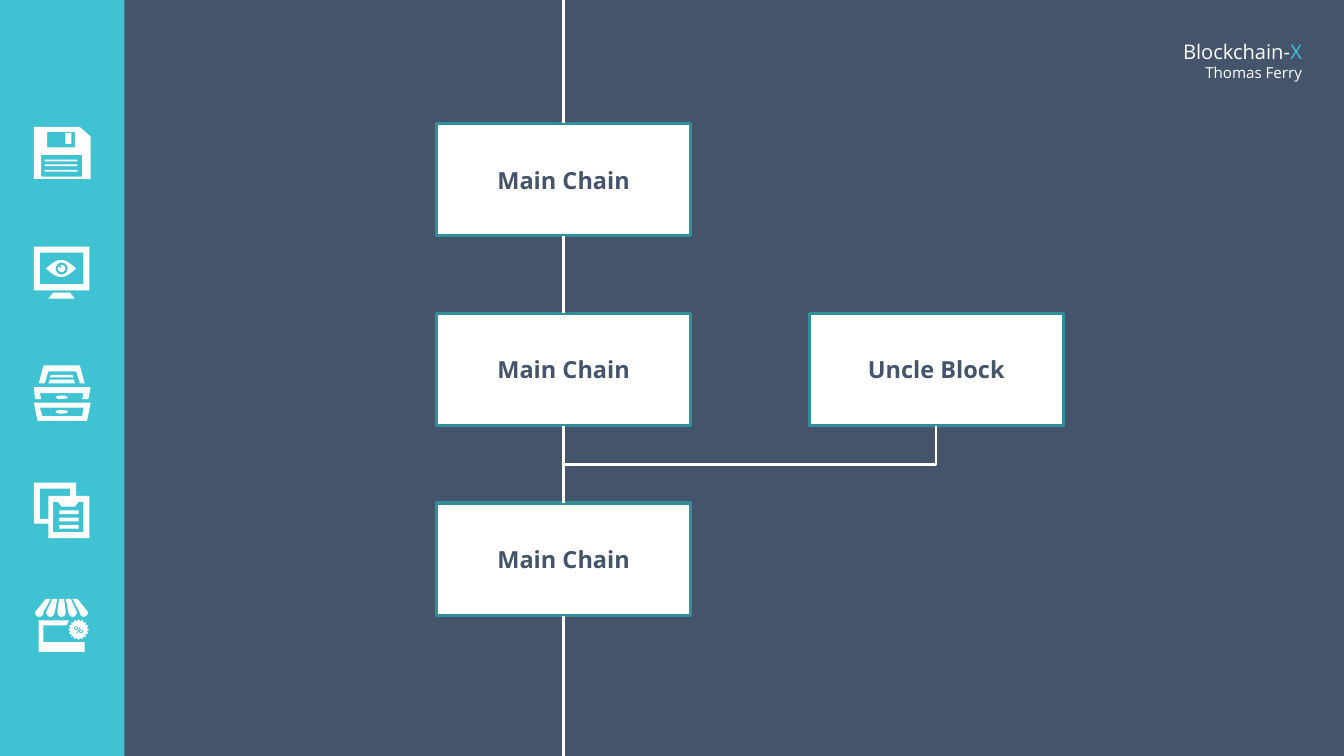
from math import cos, pi, sin

from lxml.etree import SubElement
from pptx import Presentation
from pptx.dml.color import RGBColor
from pptx.enum.shapes import MSO_CONNECTOR as LINK, MSO_SHAPE as SHAPE
from pptx.enum.text import MSO_ANCHOR as ANCHOR, PP_ALIGN as ALIGN
from pptx.oxml.ns import qn
from pptx.util import Inches, Pt

SLATE = RGBColor(0x44, 0x54, 0x6A)
TURQUOISE = RGBColor(0x3F, 0xC3, 0xD2)
TEAL = RGBColor(0x2F, 0x90, 0x9B)
WHITE = RGBColor(0xFF, 0xFF, 0xFF)
FONT = "Open Sans"
SLIDE_W, SLIDE_H = 11.11, 6.25
BLOCK_W, BLOCK_H = 2.1, 0.93
TOP, BOTTOM = 0, 2


def style_run(run, size, color, bold=False):
    run.font.name = FONT
    run.font.size = Pt(size)
    run.font.color.rgb = color
    run.font.bold = bold


def bar(left, top, right, bottom):
    return [(left, top), (right, top), (right, bottom), (left, bottom)]


def oval(x, y, rx, ry, steps=24):
    angles = [2 * pi * i / steps for i in range(steps)]
    return [(x + rx * cos(a), y + ry * sin(a)) for a in angles]


def floppy_disk():
    case = [(0, 0), (38, 0), (47, 8), (47, 43), (0, 43)]
    lines = [bar(9, y, 36, y + 1.5) for y in (27, 31, 35.5)]
    return [case, bar(6, 23, 40, 41), bar(11, 4, 34, 17), bar(26, 5, 31, 14), *lines]


def monitor():
    stand = [(16, 38), (30, 38), (34, 43), (12, 43)]
    lid = [(10 + 25 * i / 12, 7 * sin(pi * i / 12)) for i in range(13)]
    eye = [(x, 18 - y) for x, y in lid] + [(x, 18 + y) for x, y in lid[-2:0:-1]]
    return [bar(0, 0, 46, 36), bar(5, 5, 41, 31), stand, eye,
            oval(23, 18, 5, 5), oval(23, 18, 3, 3), oval(21.8, 16.5, 1, 1)]


def drawers():
    tray = [(9, 15), (12, 5), (35, 5), (38, 15), (42, 15), (38, 0), (8, 0), (4, 15)]
    papers = [[(14, 8), (32, 8), (33, 10), (13, 10)], [(13, 12), (33, 12), (34, 15), (12, 15)]]
    upper = [(6, 28), (5, 23), (41, 23), (40, 28), (45, 28), (47, 18), (0, 18), (1, 28)]
    lower = [(0, 31), (47, 31), (44, 46), (3, 46)]
    front = [(5, 35), (41, 35), (40, 42), (7, 42)]
    handles = [oval(23, y, 5, 1.5) for y in (26.5, 38.5)]
    return [tray, *papers, upper, lower, front, *handles]


def documents():
    outline = [(35, 11), (35, 0), (0, 0), (0, 34), (12, 34), (12, 46), (46, 46), (46, 11)]
    back = [(5, 30), (5, 5), (30, 5), (30, 11), (12, 11), (12, 30)]
    front = [(41, 41), (16, 41), (16, 16), (20, 16), (23, 20), (34, 20), (37, 16), (41, 16)]
    return [outline, back, front] + [bar(21, y, 37, y + 3) for y in (23, 29, 35)]


def awning_stripe(index):
    top, low = 9 + 5.5 * index, 9.2 * index
    hem = [(low + 3.5 + 3.5 * cos(pi * i / 8), 11 + 4 * sin(pi * i / 8)) for i in range(9)]
    return [(top, 0), (top + 4, 0), *hem]


def store():
    shop = [(7, 36), (7, 22), (26, 22), (28, 18), (3, 18), (3, 44), (41, 44), (41, 36)]
    badge = []
    for i in range(32):
        radius = 7 if i % 2 else 8.5
        badge.append((36 + radius * cos(pi * i / 16), 25.5 + radius * sin(pi * i / 16)))
    slash = [(37, 23), (38, 23), (35, 29), (34, 29)]
    rings = [oval(x, y, r, r) for x, y in ((34, 24.5), (38, 27)) for r in (1.7, 0.8)]
    return [awning_stripe(i) for i in range(5)] + [shop, badge, slash, *rings]


def add_icon(slide, left, top, contours):
    scaled = [[(x * 10, y * 10) for x, y in contour] for contour in contours]
    builder = slide.shapes.build_freeform(*scaled[0][0], scale=Inches(0.001))
    for index, contour in enumerate(scaled):
        if index:
            builder.move_to(*contour[0])
        builder.add_line_segments(contour[1:], close=True)
    icon = builder.convert_to_shape(Inches(left), Inches(top))
    icon.shadow.inherit = False
    icon.fill.solid()
    icon.fill.fore_color.rgb = WHITE
    icon.line.fill.background()


def add_sidebar(slide, left, top, width, height):
    band = slide.shapes.add_shape(
        SHAPE.RECTANGLE, Inches(left), Inches(top), Inches(width), Inches(height))
    band.shadow.inherit = False
    band.fill.solid()
    band.fill.fore_color.rgb = TURQUOISE
    band.line.fill.background()
    icons = [(1.05, floppy_disk), (2.04, monitor), (3.02, drawers),
             (3.99, documents), (4.95, store)]
    for offset, outline in icons:
        inset = 0.29 if outline is store else 0.28
        add_icon(slide, left + inset, top + offset, outline())


def add_header(slide, left, top, width, height):
    header = slide.shapes.add_textbox(Inches(left), Inches(top), Inches(width), Inches(height))
    frame = header.text_frame
    frame.word_wrap = True
    frame.vertical_anchor = ANCHOR.MIDDLE
    frame.margin_left = frame.margin_right = Inches(0.1)
    frame.margin_top = frame.margin_bottom = Inches(0.1)
    title, author = frame.paragraphs[0], frame.add_paragraph()
    title.text = "Blockchain-"
    title.add_run().text = "X"
    author.text = "Thomas Ferry"
    title.alignment = author.alignment = ALIGN.RIGHT
    style_run(title.runs[0], 12, WHITE)
    style_run(title.runs[1], 12, TURQUOISE)
    style_run(author.runs[0], 9, WHITE)


def add_block(slide, left, top, label):
    block = slide.shapes.add_shape(
        SHAPE.RECTANGLE, Inches(left), Inches(top), Inches(BLOCK_W), Inches(BLOCK_H))
    block.shadow.inherit = False
    block.fill.solid()
    block.fill.fore_color.rgb = WHITE
    block.line.color.rgb = TEAL
    block.line.width = Pt(2)
    block.text_frame.text = label
    block.text_frame.vertical_anchor = ANCHOR.MIDDLE
    paragraph = block.text_frame.paragraphs[0]
    paragraph.alignment = ALIGN.CENTER
    style_run(paragraph.runs[0], 14, SLATE, bold=True)
    return block


def add_link(slide, kind, start, end, weight):
    link = slide.shapes.add_connector(kind, *(Inches(value) for value in (*start, *end)))
    link.line.color.rgb = WHITE
    link.line.width = Pt(weight)
    SubElement(link._element.spPr, qn("a:effectLst"))
    return link


def add_chain(slide, left, top, width, height):
    axis = left + BLOCK_W / 2
    pitch = 1.57
    tops = [top + 1.02 + pitch * i for i in range(3)]
    main = [add_block(slide, left, y, "Main Chain") for y in tops]
    uncle_left = left + width - BLOCK_W
    uncle = add_block(slide, uncle_left, tops[1], "Uncle Block")

    starts = [top] + [y + BLOCK_H for y in tops]
    ends = tops + [top + height]
    for above, below, start, end in zip([None] + main, main + [None], starts, ends):
        link = add_link(slide, LINK.STRAIGHT, (axis, start), (axis, end), 1.5)
        if above:
            link.begin_connect(above, BOTTOM)
        if below:
            link.end_connect(below, TOP)

    uncle_axis = uncle_left + BLOCK_W / 2
    branch = add_link(slide, LINK.ELBOW, (uncle_axis, starts[2]), (axis, ends[2]), 1.25)
    branch.begin_connect(uncle, BOTTOM)
    branch.end_connect(main[2], TOP)
    drop, reach = ends[2] - starts[2], uncle_axis - axis
    xfrm = branch._element.spPr.find(qn("a:xfrm"))
    xfrm.attrib.clear()
    xfrm.set("rot", "5400000")
    branch.left = Inches((axis + uncle_axis - drop) / 2)
    branch.top = Inches((starts[2] + ends[2] - reach) / 2)
    branch.width, branch.height = Inches(drop), Inches(reach)


def main():
    deck = Presentation()
    deck.slide_width, deck.slide_height = Inches(SLIDE_W), Inches(SLIDE_H)
    slide = deck.slides.add_slide(deck.slide_layouts[6])
    slide.background.fill.solid()
    slide.background.fill.fore_color.rgb = SLATE
    add_header(slide, 9.21, 0.25, 1.65, 0.5)
    add_sidebar(slide, 0, 0, 1.03, SLIDE_H)
    add_chain(slide, 3.61, 0, 5.18, SLIDE_H)
    deck.save("out.pptx")


if __name__ == "__main__":
    main()
